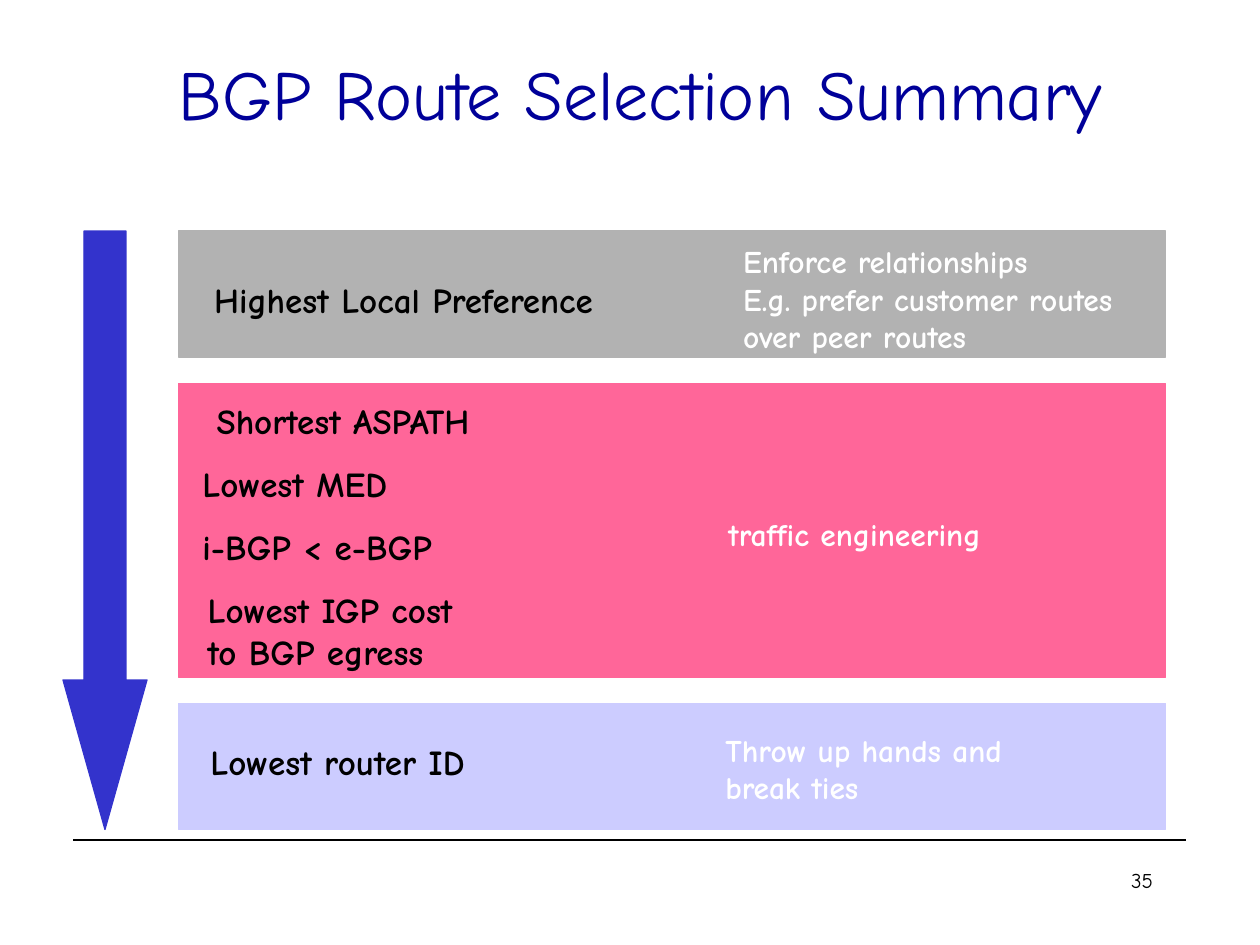
from dataclasses import dataclass

from lxml.etree import SubElement
from pptx import Presentation
from pptx.dml.color import RGBColor
from pptx.enum.shapes import MSO_CONNECTOR, MSO_SHAPE as Shape
from pptx.enum.text import MSO_ANCHOR as Anchor, MSO_AUTO_SIZE as AutoSize, PP_ALIGN as Align
from pptx.oxml.ns import qn
from pptx.util import Inches, Pt

COLS, ROWS = 120, 90
CELL = Inches(10) / COLS
FONT = "Comic Neue"
BAND_LEFT, BAND_WIDTH = 17, 94
STEP_TOP, STEP_GAP = 37.45, 6


@dataclass
class Band:
    row: float
    height: float
    color: str


@dataclass
class Label:
    text: str
    col: float
    row: float
    width: float
    height: float
    size: float = 20
    color: str = "000000"
    bold: bool = True


@dataclass
class Reason(Label):
    size: float = 18
    color: str = "FFFFFF"


BANDS = [
    Band(67, 12, "CCCCFF"),
    Band(22, 12, "B2B2B2"),
    Band(36.5, 28, "FF6699"),
]

STEPS = [
    ("Shortest ASPATH", 19.45, 28, 5.3),
    ("Lowest MED", 18.1, 21, 5.3),
    ("i-BGP < e-BGP", 18.1, 25.5, 5.3),
    ("Lowest IGP cost\nto BGP egress", 18.6, 28, 9.2),
]

LABELS = [
    Label("Highest Local Preference", 19.2, 25.95, 40, 5.3),
    *(Label(text, col, STEP_TOP + i * STEP_GAP, width, height)
      for i, (text, col, width, height) in enumerate(STEPS)),
    Label("Lowest router ID", 18.85, 69.95, 28, 5.3),
    Reason("traffic engineering", 68.2, 48.5, 29, 4.8),
    Reason("Enforce relationships\nE.g. prefer customer routes \vover peer routes",
           69.6, 22.45, 40, 12),
    Reason("Throw up hands and\nbreak ties", 67.9, 69, 30, 8.4),
]


def rgb(color: str) -> RGBColor:
    return RGBColor.from_string(color)


def grid(*cells: float) -> list[int]:
    return [round(c * CELL) for c in cells]


def write(tf, text: str, size: float, color: str, bold: bool = False, align=None) -> None:
    tf.text = text
    for p in tf.paragraphs:
        p.alignment = align
        for r in p.runs:
            for name, value in {"name": FONT, "size": Pt(size), "bold": bold}.items():
                setattr(r.font, name, value)
            r.font.color.rgb = rgb(color)


def add_block(s, kind, box: list[int], color: str):
    sp = s.shapes.add_shape(kind, *box)
    sp.shadow.inherit = False
    sp.fill.solid()
    sp.fill.fore_color.rgb = rgb(color)
    sp.line.color.rgb = rgb(color)
    sp.line.width = Pt(0.75)
    return sp


def add_label(s, label: Label) -> None:
    tf = s.shapes.add_textbox(*grid(label.col, label.row, label.width, label.height)).text_frame
    write(tf, label.text, label.size, label.color, label.bold)
    tf.word_wrap = True
    tf.auto_size = AutoSize.SHAPE_TO_FIT_TEXT


def add_rule(s) -> None:
    line = s.shapes.add_connector(MSO_CONNECTOR.STRAIGHT, *grid(7, 80, COLS - 7, 80))
    line.line.color.rgb = rgb("000000")
    line.line.width = Pt(0.75)
    SubElement(line._element.spPr, qn("a:effectLst"))


def set_title(s, text: str) -> None:
    sp = s.shapes.title
    for name, value in zip(("left", "top", "width", "height"), grid(6, 1.3, 110, 15)):
        setattr(sp, name, value)
    tf = sp.text_frame
    write(tf, text, 40, "000099", align=Align.CENTER)
    for name, value in {"vertical_anchor": Anchor.MIDDLE, "word_wrap": True,
                        "auto_size": AutoSize.NONE}.items():
        setattr(tf, name, value)


def main() -> None:
    prs = Presentation()
    prs.slide_width, prs.slide_height = grid(COLS, ROWS)
    s = prs.slides.add_slide(prs.slide_layouts[5])
    set_title(s, "BGP Route Selection Summary")
    add_rule(s)
    for band in BANDS:
        add_block(s, Shape.RECTANGLE, grid(BAND_LEFT, band.row, BAND_WIDTH, band.height), band.color)
    for label in LABELS:
        add_label(s, label)
    arrow = add_block(s, Shape.DOWN_ARROW, grid(6, 22, 8, 57), "3333CC")
    arrow.adjustments[0], arrow.adjustments[1] = 0.5, 1.78
    tf = s.shapes.add_textbox(*grid(86, 82, 25, 6)).text_frame
    tf.word_wrap = True
    write(tf, "35", 12, "000000", align=Align.RIGHT)
    prs.save("out.pptx")


if __name__ == "__main__":
    main()
